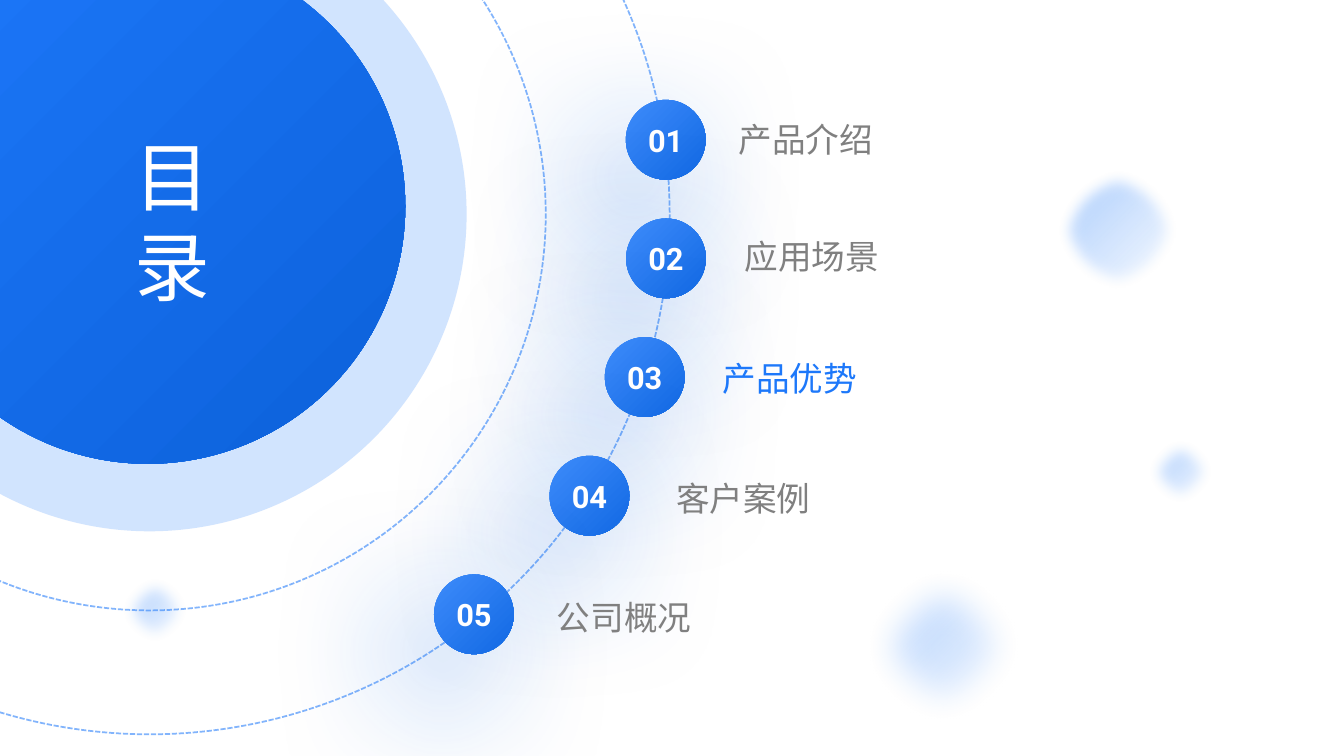
from dataclasses import dataclass

from lxml.etree import SubElement as Sub
from pptx import Presentation
from pptx.dml.color import RGBColor as Rgb
from pptx.enum.dml import MSO_LINE as Dash
from pptx.enum.shapes import MSO_SHAPE as Kind
from pptx.enum.text import MSO_ANCHOR as Anchor, PP_ALIGN as Align
from pptx.oxml.ns import qn
from pptx.util import Pt


@dataclass(frozen=True)
class Theme:
    blue: str = "1D78FA"
    deep: str = "0C61DA"
    light: str = "3D8BFA"
    dark: str = "1269E4"
    gray: str = "808080"
    white: str = "FFFFFF"
    head: int = 54
    label: int = 24
    num: int = 22
    cjk: str = "Noto Sans CJK SC"
    latin: str = "Roboto"


THEME = Theme()
HUB = (106.8, 153)  # shared centre of disc and rings
# number left, label left, label top
ITEMS = [
    ("产品介绍", 447, 519.8, 81.4),
    ("应用场景", 447.2, 524.2, 164.9),
    ("产品优势", 432, 508.3, 252),
    ("客户案例", 392.5, 475.2, 337.7),
    ("公司概况", 310, 390, 422.6),
]
ACTIVE = "产品优势"
# left, top, size, soft edge
DOTS = [
    (609.1, 396.7, 132.5, 25),
    (816.5, 310.3, 54.7, 10),
    (753.1, 118.8, 91.4, 10),
    (84.2, 409, 54.7, 10),
]


def fade(node, share):
    """Set the opacity of a colour node, in percent."""
    Sub(node, qn("a:alpha"), val=str(share * 1000))


def colors(shape):
    return list(shape._element.spPr.iter(qn("a:srgbClr")))


def effect(shape, tag, **attrs):
    effects = shape._element.spPr.find(qn("a:effectLst"))
    return Sub(effects, qn(tag), {k: str(v) for k, v in attrs.items()})


def circle(slide, left, top, size):
    shape = slide.shapes.add_shape(
        Kind.OVAL, Pt(left), Pt(top), Pt(size), Pt(size))
    shape.shadow.inherit = False
    shape.line.fill.background()
    return shape


def round_hub(slide, size):
    return circle(slide, HUB[0] - size / 2, HUB[1] - size / 2, size)


def blend(shape, start, end):
    """Fill with a gradient from top left to bottom right."""
    shape.fill.gradient()
    shape.fill.gradient_angle = 315
    for stop, color in zip(shape.fill.gradient_stops, (start, end)):
        stop.color.rgb = Rgb.from_string(color)


def ring(slide, size):
    shape = round_hub(slide, size)
    shape.rotation = 90
    shape.fill.background()
    shape.line.color.rgb = Rgb.from_string(THEME.blue)
    shape.line.width = Pt(1.25)
    shape.line.dash_style = Dash.SQUARE_DOT
    fade(colors(shape)[0], 55)


def dot(slide, left, top, size, soft):
    shape = circle(slide, left, top, size)
    blend(shape, THEME.blue, THEME.blue)
    for node, share in zip(colors(shape), (40, 0)):
        fade(node, share)
    effect(shape, "a:softEdge", rad=Pt(soft))


def write(para, text, size, color, face, bold=False):
    run = para.add_run()
    run.text = text
    font = run.font
    font.size, font.bold, font.name = Pt(size), bold, face
    font.color.rgb = Rgb.from_string(color)
    Sub(run._r.get_or_add_rPr(), qn("a:ea"), typeface=face)


def badge(slide, text, left, top):
    shape = circle(slide, left, top, 57)
    blend(shape, THEME.light, THEME.dark)
    glow = effect(shape, "a:outerShdw", blurRad=Pt(100), dist=Pt(35),
                  dir=130 * 60000, algn="ctr", rotWithShape=0)
    fade(Sub(glow, qn("a:srgbClr"), val=THEME.dark), 60)
    frame = shape.text_frame
    frame.word_wrap = False
    frame.vertical_anchor = Anchor.MIDDLE
    para = frame.paragraphs[0]
    para.alignment = Align.CENTER
    write(para, text, THEME.num, THEME.white, THEME.latin, True)


def label(slide, text, left, top):
    box = slide.shapes.add_textbox(Pt(left), Pt(top), Pt(111.6), Pt(36))
    frame = box.text_frame
    frame.word_wrap = False
    frame.vertical_anchor = Anchor.MIDDLE
    para = frame.paragraphs[0]
    para.alignment = Align.CENTER
    color = THEME.blue if text == ACTIVE else THEME.gray
    write(para, text, THEME.label, color, THEME.cjk)


def title(slide, text):
    """Stack the characters of the title, one a line."""
    box = slide.shapes.add_textbox(Pt(89.3), Pt(90), Pt(81.4), Pt(138.2))
    frame = box.text_frame
    frame.word_wrap = True
    for i, char in enumerate(text):
        para = frame.add_paragraph() if i else frame.paragraphs[0]
        para.line_spacing = Pt(64.3)
        write(para, char, THEME.head, THEME.white, THEME.cjk)


def main():
    deck = Presentation()
    deck.slide_width, deck.slide_height = Pt(960), Pt(540)
    slide = deck.slides.add_slide(deck.slide_layouts[6])
    halo = round_hub(slide, 453)
    halo.fill.solid()
    halo.fill.fore_color.rgb = Rgb.from_string(THEME.blue)
    fade(colors(halo)[0], 20)
    blend(circle(slide, -78.5, -36.7, 368), THEME.blue, THEME.deep)
    for size in (566, 743):
        ring(slide, size)
    title(slide, "目录")
    for spot in DOTS:
        dot(slide, *spot)
    for i, (text, left, side, top) in enumerate(ITEMS):
        badge(slide, f"{i + 1:02}", left, 71.3 + i * 84.75)
        label(slide, text, side, top)
    deck.save("out.pptx")


if __name__ == "__main__":
    main()
